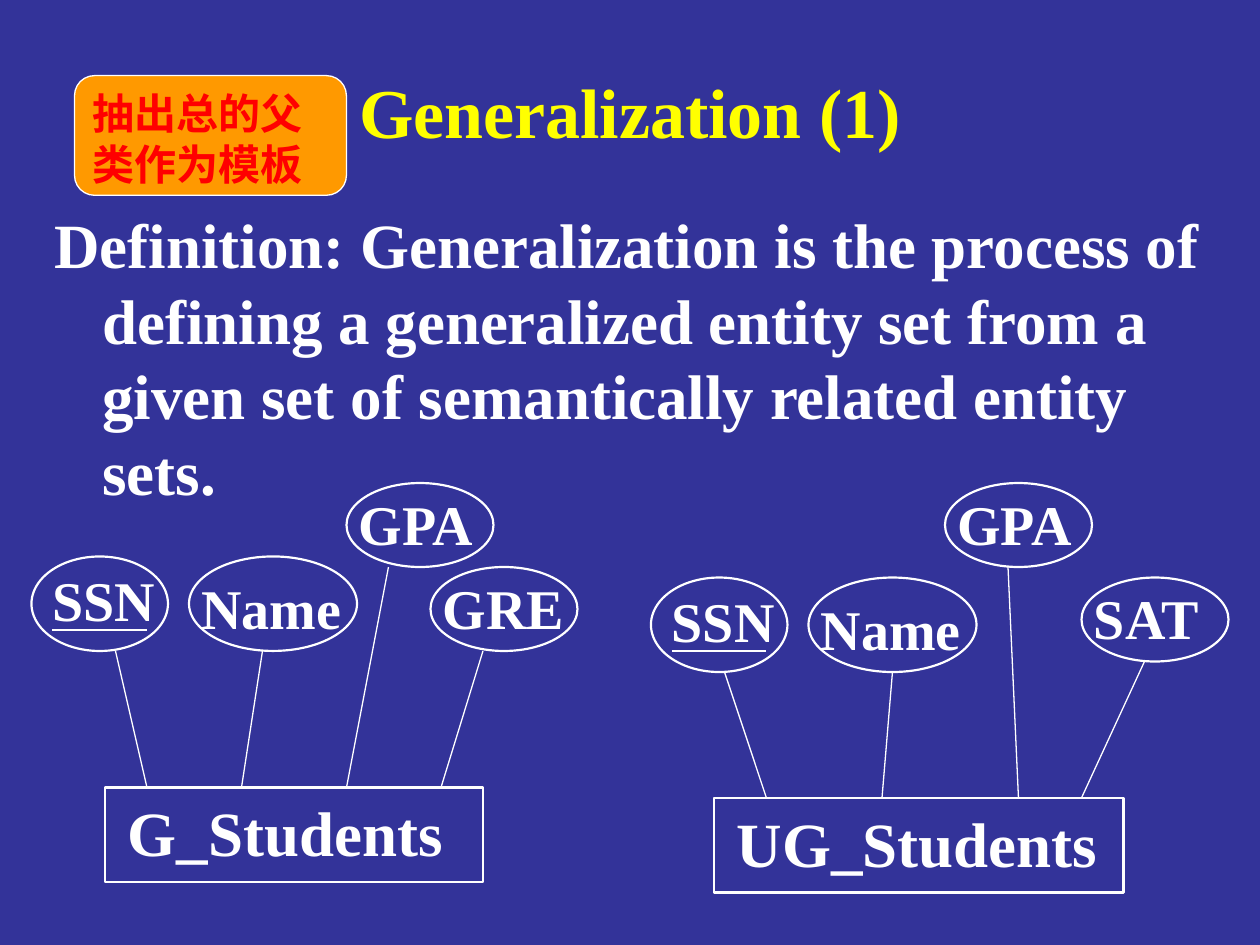
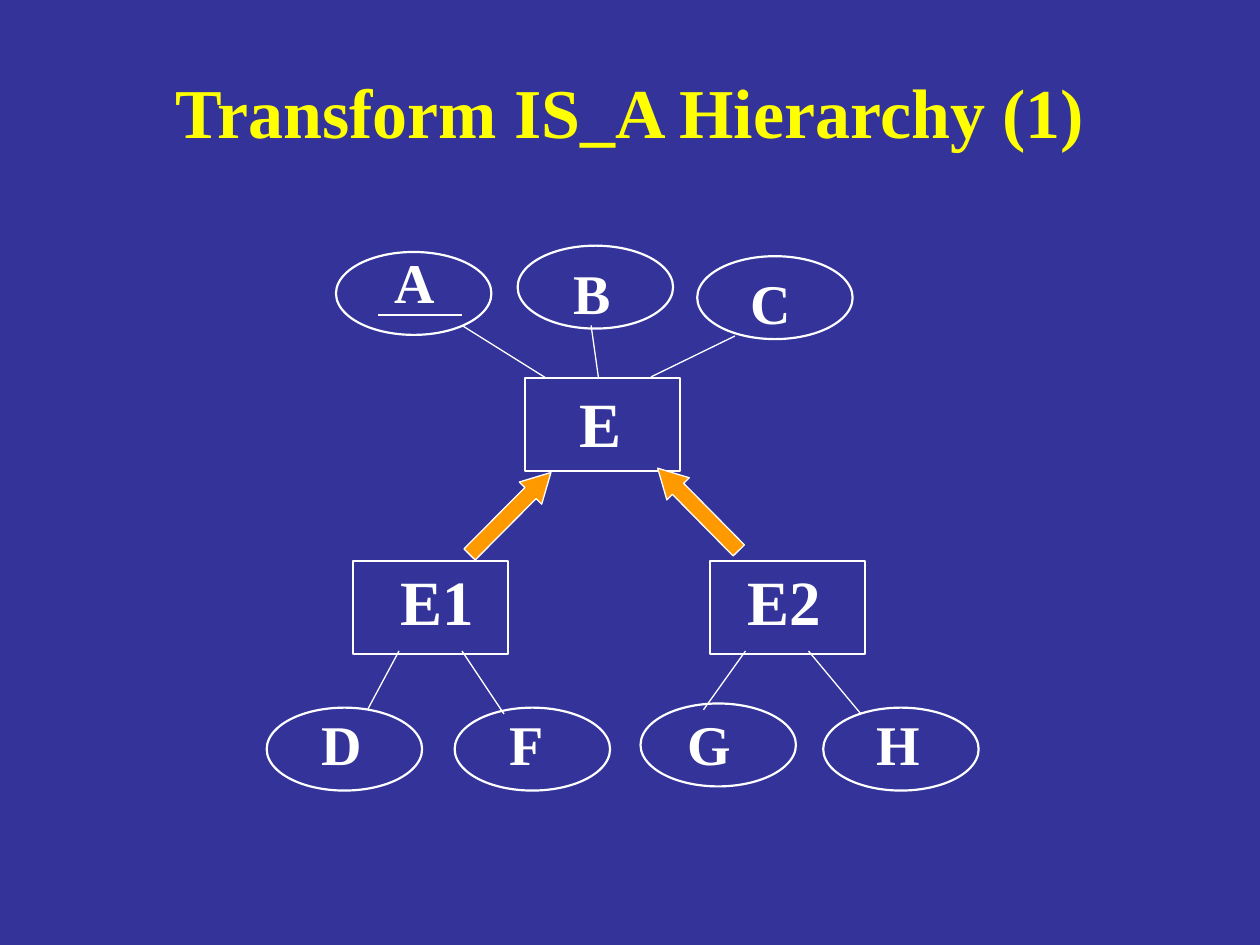
import pptx
import pptx.dml.color
import pptx.enum.shapes
import pptx.enum.text
import pptx.oxml.ns
import pptx.util
from lxml import etree

SHAPES = pptx.enum.shapes.MSO_SHAPE
ALIGN = pptx.enum.text.PP_ALIGN
ANCHOR = pptx.enum.text.MSO_ANCHOR

BACKGROUND = "333399"
WHITE = "FFFFFF"
YELLOW = "FFFF00"
ORANGE = "FF9900"
RED = "FF0000"


def color(hex_code):
    return pptx.dml.color.RGBColor.from_string(hex_code)


class Deck:
    font = "Times New Roman"
    cell = pptx.util.Inches(10) / 120
    label_rows = 8

    def __init__(self):
        self.presentation = pptx.Presentation()
        self.presentation.slide_width = self.length(120)
        self.presentation.slide_height = self.length(90)
        self.slide = None

    def length(self, cells):
        return pptx.util.Emu(round(cells * self.cell))

    def place(self, box):
        return [self.length(value) for value in box]

    def new_slide(self, title):
        self.slide = self.presentation.slides.add_slide(self.presentation.slide_layouts[6])
        fill = self.slide.background.fill
        fill.solid()
        fill.fore_color.rgb = color(BACKGROUND)
        shape = self.text(title, (9, 5, 102, 11), 40, YELLOW)
        shape.text_frame.vertical_anchor = ANCHOR.MIDDLE
        shape.text_frame.paragraphs[0].alignment = ALIGN.CENTER

    def set_text(self, shape, text, size, text_color):
        frame = shape.text_frame
        frame.word_wrap = True
        frame.vertical_anchor = ANCHOR.TOP
        paragraph = frame.paragraphs[0]
        paragraph.text = text
        paragraph.alignment = ALIGN.LEFT
        paragraph.font.name = self.font
        paragraph.font.size = pptx.util.Pt(size)
        paragraph.font.bold = True
        paragraph.font.color.rgb = color(text_color)

    def text(self, text, box, size, text_color=WHITE):
        shape = self.slide.shapes.add_textbox(*self.place(box))
        self.set_text(shape, text, size, text_color)
        return shape

    def hanging_text(self, text, box, size):
        shape = self.text(text, box, size)
        indent = pptx.util.Inches(0.38)
        properties = shape.text_frame.paragraphs[0]._p.get_or_add_pPr()
        properties.set("marL", str(indent))
        properties.set("indent", str(-indent))

    def shape(self, kind, box, fill=None, line_width=1.25):
        shape = self.slide.shapes.add_shape(kind, *self.place(box))
        shape.shadow.inherit = False
        if fill:
            shape.fill.solid()
            shape.fill.fore_color.rgb = color(fill)
        else:
            shape.fill.background()
        shape.line.color.rgb = color(WHITE)
        shape.line.width = pptx.util.Pt(line_width)
        return shape

    def node(self, kind, label, box, offset, size):
        column, row, width, _ = box
        self.shape(kind, box)
        self.text(label, (column + offset[0], row + offset[1], width, self.label_rows), size)

    def entity(self, label, box, offset):
        self.node(SHAPES.RECTANGLE, label, box, offset, 36)

    def attribute(self, label, box, offset):
        self.node(SHAPES.OVAL, label, box, offset, 32)

    def line(self, *ends):
        connector = self.slide.shapes.add_connector(
            pptx.enum.shapes.MSO_CONNECTOR.STRAIGHT, *self.place(ends))
        connector.line.color.rgb = color(WHITE)
        connector.line.width = pptx.util.Pt(0.75)
        etree.SubElement(connector._element.spPr, pptx.oxml.ns.qn("a:effectLst"))

    def lines(self, all_ends):
        for ends in all_ends:
            self.line(*ends)

    def callout(self, text, box):
        shape = self.shape(SHAPES.ROUNDED_RECTANGLE, box, ORANGE, 0.75)
        self.set_text(shape, text, 24, RED)

    def block_arrow(self, column, row, rotation):
        shape = self.shape(SHAPES.RIGHT_ARROW, (column, row, 11, 3), ORANGE, 0.75)
        shape.adjustments[1] = 0.92
        shape.rotation = rotation


def student_diagram(deck, key_column, key_row, entity, entity_box, gpa_column, test, test_box):
    deck.entity(entity, entity_box, (1, 0))
    deck.attribute("SSN", (key_column, key_row, 13, 9), (0.8, 0.24))
    deck.line(key_column + 2, key_row + 7, key_column + 11, key_row + 7)
    deck.attribute("Name", (key_column + 15, key_row, 16, 9), (0, 1))
    deck.attribute("GPA", (gpa_column, 46, 14, 8), (0, 0))
    deck.attribute(test, test_box, (0, 0))


def generalization_slide(deck):
    deck.new_slide("Generalization (1)")
    deck.hanging_text(
        "Definition: Generalization is the process of defining a generalized entity set "
        "from a given set of semantically related entity sets.", (4, 19, 112, 67), 36)
    student_diagram(deck, 3, 53, "G_Students", (10, 75, 36, 9), 33, "GRE", (41, 54, 14, 8))
    student_diagram(deck, 62, 55, "UG_Students", (68, 76, 39, 9), 90, "SAT", (103, 55, 14, 8))
    deck.lines([
        (14, 75, 11, 62), (23, 75, 25, 62), (37, 54, 33, 75), (46, 62, 42, 75),
        (73, 76, 69, 64), (84, 76, 85, 64), (96, 54, 97, 76), (109, 63, 103, 76),
    ])
    deck.callout("抽出总的父类作为模板", (7.1, 7.2, 25.9, 11.4))


def hierarchy_slide(deck):
    deck.new_slide("Transform IS_A Hierarchy (1)")
    for label, column, row, offset in [
        ("E", 50, 36, (4, 0)),
        ("E1", 33.6, 53.4, (3.4, -0.4)),
        ("E2", 67.6, 53.4, (2.4, -0.4)),
    ]:
        deck.entity(label, (column, row, 14.8, 8.9), offset)
    for label, column, row, offset in [
        ("A", 32, 24, (4.4, -1)),
        ("B", 49.3, 23.4, (4.1, 0.6)),
        ("C", 66.4, 24.4, (3.9, 0.6)),
        ("D", 25.4, 67.4, (4, -0.4)),
        ("F", 43.3, 67.4, (4, -0.4)),
        ("G", 61, 67, (3.3, 0)),
        ("H", 78.4, 67.4, (3.9, -0.4)),
    ]:
        deck.attribute(label, (column, row, 14.8, 7.9), offset)
    deck.line(36, 30, 44, 30)
    deck.lines([
        (44, 31, 52, 36), (56.3, 31, 57, 36), (70, 32, 62, 35.9),
        (38, 62, 35, 67.6), (44, 62, 48, 68), (71, 62, 67, 67.6), (77, 62, 82, 68),
    ])
    deck.block_arrow(43.1, 47.4, 314.8)
    deck.block_arrow(61, 47, 225.4)


def main():
    deck = Deck()
    generalization_slide(deck)
    hierarchy_slide(deck)
    deck.presentation.save("out.pptx")


if __name__ == "__main__":
    main()
